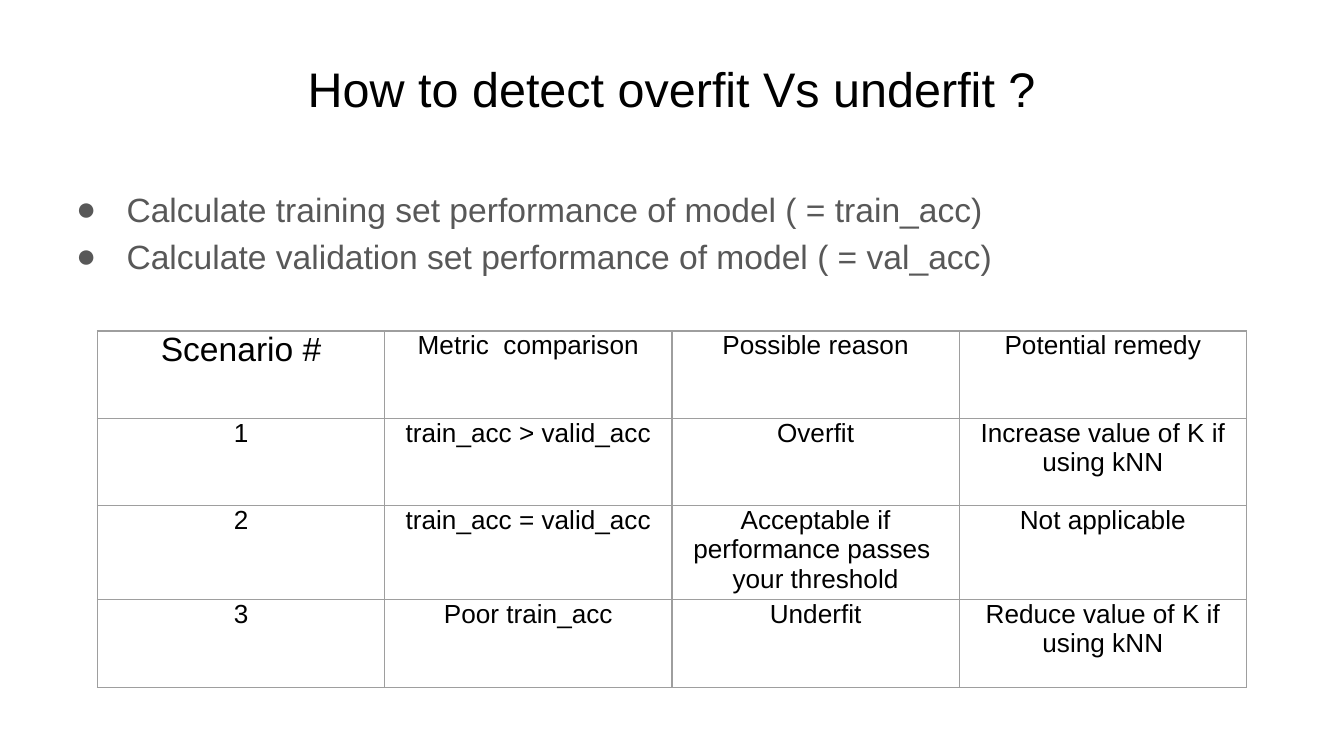
from dataclasses import dataclass

from lxml.etree import SubElement
from pptx import Presentation
from pptx.dml.color import RGBColor
from pptx.enum.text import MSO_ANCHOR as Anchor, PP_ALIGN as Align
from pptx.oxml.ns import qn
from pptx.util import Pt

EMU_PER_PX = 5715  # 160 px to the inch
TITLE_ONLY = 5


def px(length):
    return length * EMU_PER_PX


@dataclass(frozen=True)
class Theme:
    font: str = "Arial"
    background: str = "FFFFFF"
    text: str = "000000"
    muted: str = "585858"
    border: str = "9E9E9E"
    border_width: float = 0.75
    title_size: int = 26
    body_size: int = 18
    cell_size: int = 14


class SlideBuilder:
    def __init__(self, slide, theme):
        self.slide = slide
        self.theme = theme
        fill = slide.background.fill
        fill.solid()
        fill.fore_color.rgb = RGBColor.from_string(theme.background)

    def style(self, paragraph, size, color, align, line_spacing=1.0):
        paragraph.alignment = align
        paragraph.line_spacing = line_spacing
        paragraph.space_before = paragraph.space_after = Pt(0)
        for run in paragraph.runs:
            run.font.name = self.theme.font
            run.font.size = Pt(size)
            run.font.color.rgb = RGBColor.from_string(color)

    def set_frame(self, frame, inset, anchor):
        frame.word_wrap = True
        frame.vertical_anchor = anchor
        frame.margin_left = frame.margin_right = px(inset)
        frame.margin_top = frame.margin_bottom = px(inset)

    def title(self, text, left, top, width, height):
        shape = self.slide.shapes.title
        shape.left, shape.top = px(left), px(top)
        shape.width, shape.height = px(width), px(height)
        frame = shape.text_frame
        frame.text = text
        self.set_frame(frame, 16, Anchor.BOTTOM)
        self.style(frame.paragraphs[0], self.theme.title_size,
                   self.theme.text, Align.CENTER)

    def bullets(self, lines, left, top, width, height):
        shape = self.slide.shapes.add_textbox(
            px(left), px(top), px(width), px(height))
        frame = shape.text_frame
        frame.text = "\n".join(lines)
        self.set_frame(frame, 16, Anchor.TOP)
        for paragraph in frame.paragraphs:
            self.style(paragraph, self.theme.body_size,
                       self.theme.muted, Align.LEFT, line_spacing=1.15)
            self.add_bullet(paragraph)

    def add_bullet(self, paragraph):
        properties = paragraph._p.get_or_add_pPr()
        properties.set("marL", str(px(80)))
        properties.set("indent", str(px(-60)))
        color = SubElement(properties, qn("a:buClr"))
        SubElement(color, qn("a:srgbClr"), val=self.theme.muted)
        SubElement(properties, qn("a:buFont"), typeface=self.theme.font)
        SubElement(properties, qn("a:buChar"), char="●")

    def table(self, rows, left, top, column_width, row_height):
        row_count, column_count = len(rows), len(rows[0])
        table = self.slide.shapes.add_table(
            row_count, column_count, px(left), px(top),
            px(column_width * column_count), px(row_height * row_count)).table
        table.first_row = table.horz_banding = False
        for row_index, row in enumerate(rows):
            for column_index, text in enumerate(row):
                is_corner = row_index == column_index == 0
                size = self.theme.body_size if is_corner else self.theme.cell_size
                self.fill_cell(table.cell(row_index, column_index), text, size)

    def fill_cell(self, cell, text, size):
        cell.text = text
        cell.margin_left = cell.margin_right = 0
        cell.margin_top = cell.margin_bottom = 0
        self.style(cell.text_frame.paragraphs[0], size,
                   self.theme.text, Align.CENTER)
        self.add_borders(cell)
        cell.fill.solid()
        cell.fill.fore_color.rgb = RGBColor.from_string(self.theme.background)

    def add_borders(self, cell):
        properties = cell._tc.get_or_add_tcPr()
        for side in ("a:lnL", "a:lnR", "a:lnT", "a:lnB"):
            line = SubElement(properties, qn(side),
                              w=str(int(Pt(self.theme.border_width))))
            fill = SubElement(line, qn("a:solidFill"))
            SubElement(fill, qn("a:srgbClr"), val=self.theme.border)


def main():
    presentation = Presentation()
    presentation.slide_width = px(1600)
    presentation.slide_height = px(900)
    slide = presentation.slides.add_slide(presentation.slide_layouts[TITLE_ONLY])
    builder = SlideBuilder(slide, Theme())

    builder.title("How to detect overfit Vs underfit ?", 55, 56, 1491, 100)
    builder.bullets([
        "Calculate training set performance of model ( = train_acc)",
        "Calculate validation set performance of model ( = val_acc)",
    ], 55, 202, 1491, 170)
    builder.table([
        ["Scenario #", "Metric  comparison", "Possible reason", "Potential remedy"],
        ["1", "train_acc > valid_acc", "Overfit",
         "Increase value of K if using kNN"],
        ["2", "train_acc = valid_acc",
         "Acceptable if performance passes  your threshold", "Not applicable"],
        ["3", "Poor train_acc", "Underfit", "Reduce value of K if using kNN"],
    ], 116, 394, column_width=342, row_height=104)

    presentation.save("out.pptx")


if __name__ == "__main__":
    main()
